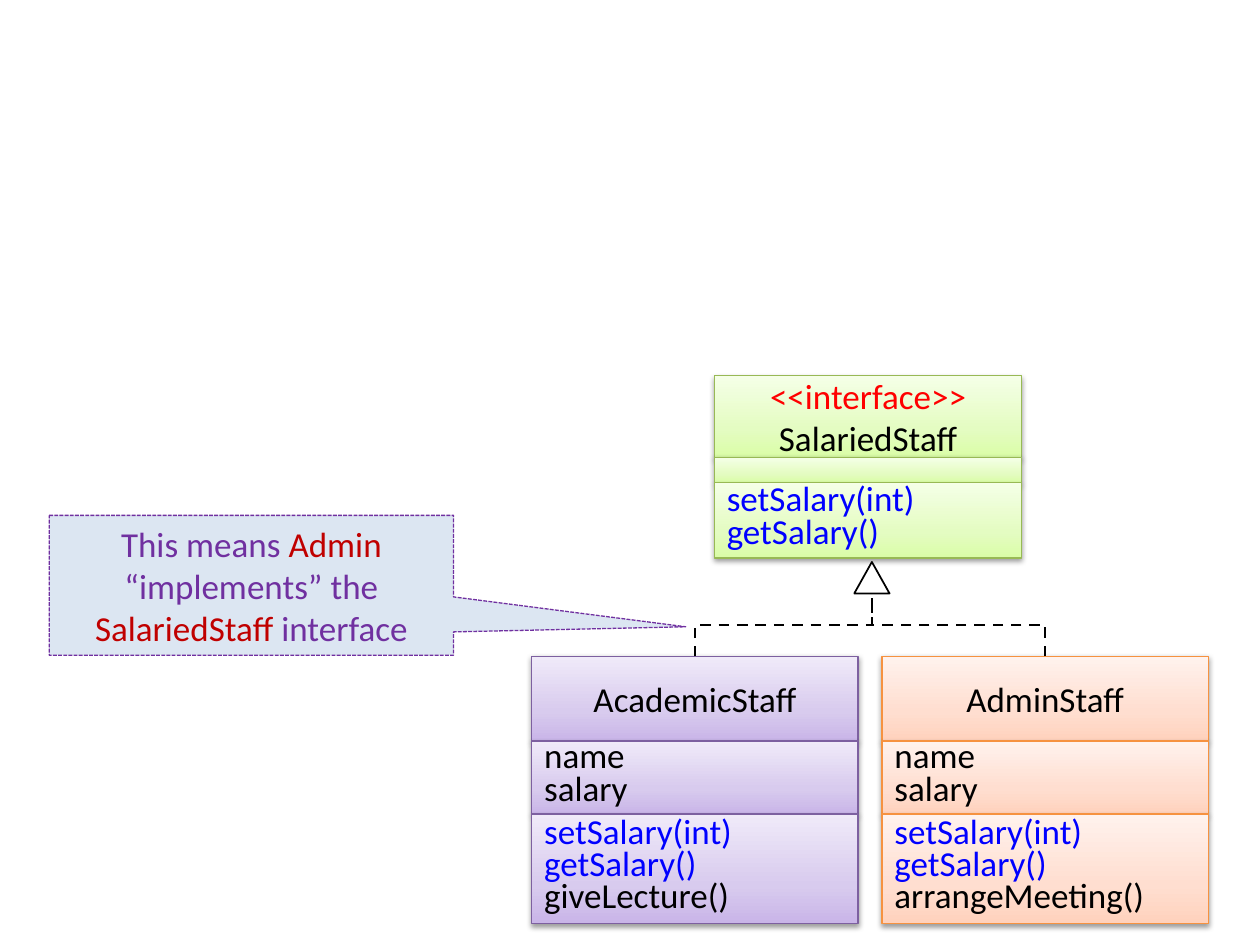
from copy import deepcopy

from lxml import etree
from pptx import Presentation
from pptx.dml.color import RGBColor
from pptx.enum import dml, shapes, text
from pptx.oxml.ns import qn
from pptx.util import Inches, Pt

THEME = {
    "font": "Calibri", "size": 20,
    "black": "000000", "white": "FFFFFF", "blue": "0000FF", "red": "FF0000",
    "purple": "7030A0", "crimson": "C00000", "pale": "DCE6F2",
    # gradient from bottom to top, then the outline
    "violet": (("C9B5E8", "D8CBEE", "F0EAF9"), "7D60A0"),
    "orange": (("FFD2BD", "FFDED0", "FFF2ED"), "F69240"),
    "green": (("DAFDA7", "E4FCC2", "F5FFE7"), "98B955"),
}
STOPS = (0, 0.35, 1)

# Each paragraph is a list of (text, colour) runs.
SALARY_METHODS = [[("setSalary(int)", "blue")], [("getSalary()", "blue")]]
FIELDS = [[("name", "black")], [("salary", "black")]]
STAFF_HEIGHTS = (0.67, 0.58, 0.87)
CLASSES = [
    dict(left=4.22, top=5.21, width=2.59, heights=STAFF_HEIGHTS, style="violet",
         sections=([[("AcademicStaff", "black")]], FIELDS,
                   SALARY_METHODS + [[("giveLecture()", "black")]])),
    dict(left=7, top=5.21, width=2.59, heights=STAFF_HEIGHTS, style="orange",
         sections=([[("AdminStaff", "black")]], FIELDS,
                   SALARY_METHODS + [[("arrangeMeeting()", "black")]])),
    dict(left=5.67, top=2.98, width=2.44, heights=(0.65, 0.2, 0.6), style="green",
         sections=([[("<<interface>>", "red")], [("SalariedStaff", "black")]],
                   [], SALARY_METHODS)),
]
ARROW = dict(left=6.78, top=4.46, width=0.28, height=0.25)
CALLOUT = dict(left=0.39, top=4.09, width=3.21, height=1.11)
CALLOUT_TIP = (1.074, 0.297)
CALLOUT_TEXT = [[("This means ", "purple"), ("Admin", "crimson"),
                 (" “implements” the ", "purple"),
                 ("SalariedStaff", "crimson"), (" interface", "purple")]]


def rgb(name):
    return RGBColor.from_string(THEME.get(name, name))


def write(sp, paragraphs, align=text.PP_ALIGN.LEFT, spacing=None, before=0):
    tf = sp.text_frame
    tf.word_wrap = True
    tf.vertical_anchor = text.MSO_ANCHOR.MIDDLE
    for i, runs in enumerate(paragraphs):
        p = tf.add_paragraph() if i else tf.paragraphs[0]
        p.alignment = align
        if spacing:
            p.line_spacing = spacing
        if i:
            p.space_before = Pt(before)
        for words, colour in runs:
            r = p.add_run()
            r.text = words
            r.font.name, r.font.size = THEME["font"], Pt(THEME["size"])
            r.font.color.rgb = rgb(colour)


def add_shape(slide, kind, left, top, width, height, line, weight=0.75, fill=None):
    sp = slide.shapes.add_shape(kind, *map(Inches, (left, top, width, height)))
    sp.shadow.inherit = False
    sp.line.color.rgb, sp.line.width = rgb(line), Pt(weight)
    if fill:
        sp.fill.solid()
        sp.fill.fore_color.rgb = rgb(fill)
    return sp


def shade(sp, colours):
    """Fill upwards with a three-stop gradient and cast a soft shadow down."""
    sp.fill.gradient()
    sp.fill.gradient_angle = 90
    stops = sp._element.spPr.find(".//" + qn("a:gsLst"))
    stops.append(deepcopy(stops[-1]))
    for stop, position, colour in zip(sp.fill.gradient_stops, STOPS, colours):
        stop.position, stop.color.rgb = position, rgb(colour)
    effects = sp._element.spPr.find(qn("a:effectLst"))
    shadow = etree.SubElement(effects, qn("a:outerShdw"), blurRad="40000",
                              dist="20000", dir="5400000", rotWithShape="0")
    colour = etree.SubElement(shadow, qn("a:srgbClr"), val=THEME["black"])
    etree.SubElement(colour, qn("a:alpha"), val="38000")


def add_class(slide, left, top, width, heights, style, sections):
    colours, line = THEME[style]
    for i, (height, paragraphs) in enumerate(zip(heights, sections)):
        sp = add_shape(slide, shapes.MSO_SHAPE.RECTANGLE, left, top, width, height, line)
        shade(sp, colours)
        if i == 0:
            write(sp, paragraphs, align=text.PP_ALIGN.CENTER)
        else:
            write(sp, paragraphs, spacing=0.6, before=4)
        top += height


def add_riser(slide, x1, y1, x2, y2):
    """Dashed elbow that leaves upwards: a sideways elbow turned by 270 degrees."""
    cx, cy = (x1 + x2) / 2, (y1 + y2) / 2
    along, across = (y1 - y2) / 2, (x2 - x1) / 2
    line = slide.shapes.add_connector(
        shapes.MSO_CONNECTOR.ELBOW,
        *map(Inches, (cx - along, cy - across, cx + along, cy + across)))
    line.line.color.rgb, line.line.width = rgb("black"), Pt(1.5)
    line.line.dash_style = dml.MSO_LINE.DASH
    spPr = line._element.spPr
    spPr.find(qn("a:xfrm")).set("rot", str(270 * 60000))
    etree.SubElement(spPr, qn("a:effectLst"))


def main():
    prs = Presentation()
    prs.slide_width, prs.slide_height = Inches(10), Inches(7.5)
    slide = prs.slides.add_slide(prs.slide_layouts[6])

    for item in CLASSES:
        add_class(slide, **item)

    arrow_x = ARROW["left"] + ARROW["width"] / 2
    arrow_base = ARROW["top"] + ARROW["height"]
    for item in CLASSES[:2]:
        add_riser(slide, item["left"] + item["width"] / 2, item["top"],
                  arrow_x, arrow_base)
    add_shape(slide, shapes.MSO_SHAPE.FLOWCHART_EXTRACT, **ARROW,
              line="black", weight=1, fill="white")

    sp = add_shape(slide, shapes.MSO_SHAPE.RECTANGULAR_CALLOUT, **CALLOUT,
                   line="purple", fill="pale")
    sp.line.dash_style = dml.MSO_LINE.SQUARE_DOT
    sp.adjustments[0], sp.adjustments[1] = CALLOUT_TIP
    write(sp, CALLOUT_TEXT, align=text.PP_ALIGN.CENTER)

    prs.save("out.pptx")


if __name__ == "__main__":
    main()
